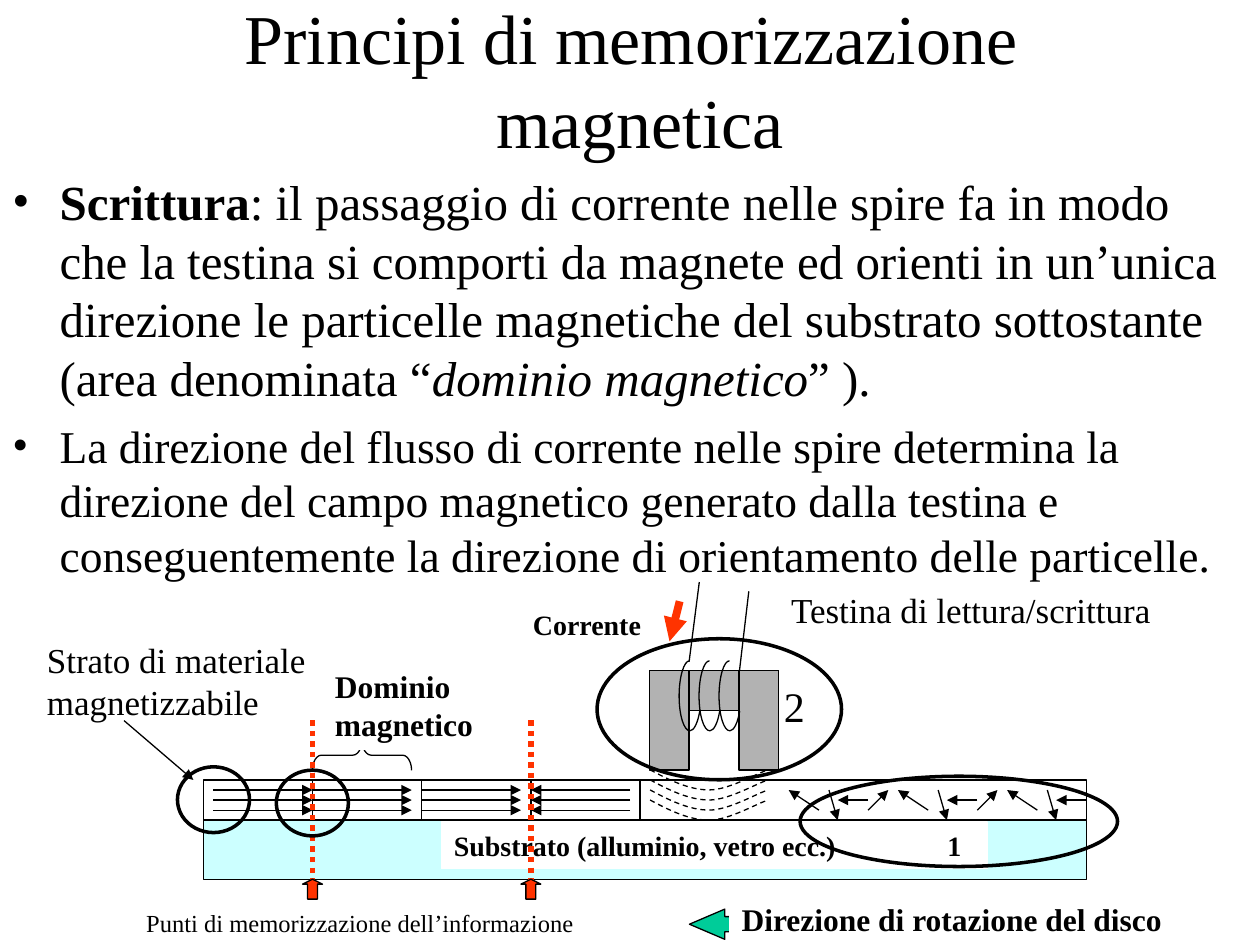
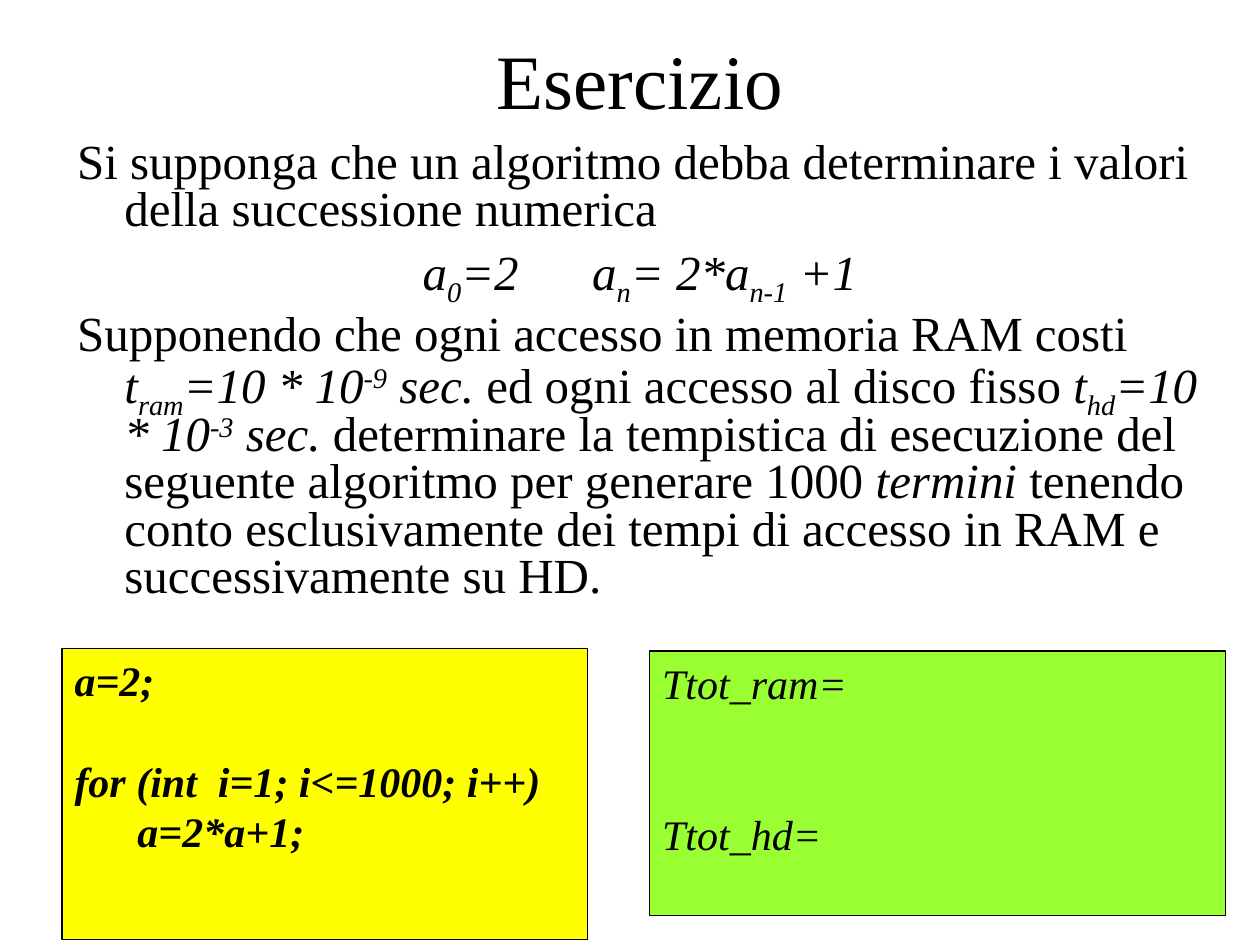
from dataclasses import dataclass

from lxml import etree
from pptx import Presentation
from pptx import util as u
from pptx.dml.color import RGBColor
from pptx.enum import dml, shapes, text
from pptx.oxml.ns import qn

Pt = u.Pt
SHAPE = shapes.MSO_SHAPE
DASH = dml.MSO_LINE


@dataclass(frozen=True)
class Theme:
    font: str = "Times New Roman"
    black: str = "000000"
    white: str = "FFFFFF"
    red: str = "FF3300"
    green: str = "00CC99"
    grey: str = "B2B2B2"
    cyan: str = "CCFFFF"
    yellow: str = "FFFF00"
    lime: str = "99FF33"
    title: int = 44
    long_title: int = 40
    body: int = 28
    body_small: int = 26
    code: int = 24
    label: int = 20
    strong_label: int = 18
    small_label: int = 16
    caption: int = 14
    thin: float = 0.75
    ring: float = 2
    marker: float = 3
    current: float = 4.5


THEME = Theme()
RUN_MARKS = {"_": ("baseline", "-25000"), "^": ("baseline", "30000"), "w": ("spc", "3500")}

# Geometry of the disk section, in points
DISK_LEFT, DISK_WIDTH = 116.2, 504.8
LAYER_TOP, LAYER_HEIGHT = 445.7, 23
SUBSTRATE_TOP = LAYER_TOP + LAYER_HEIGHT
DOMAIN_STEP = 62.4
FLUX_LENGTH, FLUX_GAP = 56.7, 5.76
PARTICLES_LEFT = 450.7


def points(*lengths):
    return [Pt(length) for length in lengths]


def style_runs(paragraph, size, bold=False, italic=False, color=THEME.black):
    for run in paragraph.runs:
        font = run.font
        font.name, font.size = THEME.font, Pt(size)
        font.bold, font.italic = bold, italic
        font.color.rgb = RGBColor.from_string(color)


def add_rich_runs(paragraph, segments, size):
    """Add (text, marks) runs: b bold, i italic, _ subscript, ^ superscript, w wide."""
    for words, _ in segments:
        paragraph.add_run().text = words
    style_runs(paragraph, size)
    for run, (_, marks) in zip(paragraph.runs, segments):
        run.font.bold, run.font.italic = "b" in marks, "i" in marks
        for mark in marks:
            if mark in RUN_MARKS:
                run._r.get_or_add_rPr().set(*RUN_MARKS[mark])


def set_hanging_indent(paragraph, margin=27):
    properties = paragraph._p.get_or_add_pPr()
    properties.set("marL", str(Pt(margin)))
    properties.set("indent", str(-Pt(margin)))
    return properties


def add_bullet(properties):
    etree.SubElement(properties, qn("a:buFont"), typeface=THEME.font)
    etree.SubElement(properties, qn("a:buChar"), char="•")


def add_tab(properties, position):
    tabs = etree.SubElement(properties, qn("a:tabLst"))
    etree.SubElement(tabs, qn("a:tab"), pos=str(Pt(position)), algn="l")


def set_title(slide, words, size):
    title = slide.shapes.title
    title.left, title.top, title.width, title.height = points(59.7, 0, 612, 90)
    frame = title.text_frame
    frame.text = words
    frame.auto_size = text.MSO_AUTO_SIZE.NONE
    frame.vertical_anchor = text.MSO_ANCHOR.MIDDLE
    for paragraph in frame.paragraphs:
        paragraph.alignment = text.PP_ALIGN.CENTER
        style_runs(paragraph, size)


def add_text_area(slide, left, top, width, height):
    frame = slide.shapes.add_textbox(*points(left, top, width, height)).text_frame
    frame.word_wrap = True
    return frame


def set_line(line, color, width, dash=None):
    line.color.rgb = RGBColor.from_string(color)
    line.width = Pt(width)
    if dash is not None:
        line.dash_style = dash


def add_shape(slide, kind, left, top, width, height, fill=None,
              line=THEME.black, line_width=THEME.thin):
    shape = slide.shapes.add_shape(kind, *points(left, top, width, height))
    shape.shadow.inherit = False
    if fill:
        shape.fill.solid()
        shape.fill.fore_color.rgb = RGBColor.from_string(fill)
    else:
        shape.fill.background()
    set_line(shape.line, line, line_width)
    return shape


def add_text_panel(slide, left, top, width, height, lines, size, fill=THEME.white,
                   line=THEME.white, bold=False, italic=False, tab=None):
    """Add a filled box; lines holds (text, space before) pairs."""
    panel = add_shape(slide, SHAPE.RECTANGLE, left, top, width, height, fill, line)
    frame = panel.text_frame
    frame.word_wrap = True
    frame.vertical_anchor = text.MSO_ANCHOR.TOP
    for index, (words, space) in enumerate(lines):
        paragraph = frame.add_paragraph() if index else frame.paragraphs[0]
        if tab:
            add_tab(paragraph._p.get_or_add_pPr(), tab)
        paragraph.text = words
        paragraph.alignment = text.PP_ALIGN.LEFT
        paragraph.space_before = Pt(space)
        style_runs(paragraph, size, bold, italic)


def add_label(slide, left, top, width, height, words, size, bold=False):
    frame = add_text_area(slide, left, top, width, height)
    frame.text = words
    style_runs(frame.paragraphs[0], size, bold)


def add_line(slide, start, end, arrow=False, color=THEME.black,
             width=THEME.thin, dash=None):
    connector = slide.shapes.add_connector(
        shapes.MSO_CONNECTOR.STRAIGHT, *points(*start, *end))
    set_line(connector.line, color, width, dash)
    properties = connector._element.spPr
    if arrow:
        etree.SubElement(properties.find(qn("a:ln")), qn("a:tailEnd"), type="triangle")
    etree.SubElement(properties, qn("a:effectLst"))


def add_curve(slide, left, top, start, controls, dash=None):
    """Draw an open Bezier outline; every three controls make one cubic piece."""
    builder = slide.shapes.build_freeform(Pt(left + start[0]), Pt(top + start[1]))
    builder.add_line_segments([points(left + x, top + y) for x, y in controls], close=False)
    curve = builder.convert_to_shape()
    outline = next(curve._element.iter(qn("a:path")))
    segments = outline.findall(qn("a:lnTo"))
    for first in range(0, len(segments), 3):
        cubic = etree.SubElement(outline, qn("a:cubicBezTo"))
        for segment in segments[first:first + 3]:
            cubic.append(segment[0])
            outline.remove(segment)
    curve.shadow.inherit = False
    curve.fill.background()
    set_line(curve.line, THEME.black, THEME.thin, dash)


def draw_disk(slide):
    add_shape(slide, SHAPE.RECTANGLE, DISK_LEFT, SUBSTRATE_TOP, DISK_WIDTH, 33.8, THEME.cyan)
    add_shape(slide, SHAPE.RECTANGLE, DISK_LEFT, LAYER_TOP, DISK_WIDTH, LAYER_HEIGHT,
              THEME.white)
    for domain in range(4):
        left = DISK_LEFT + DOMAIN_STEP * domain
        edge = left + DOMAIN_STEP
        add_line(slide, (edge, LAYER_TOP), (edge, SUBSTRATE_TOP))
        start = left + FLUX_GAP if domain == 0 else left
        for row in range(1, 4):
            y = LAYER_TOP + FLUX_GAP * row
            ends = [(start, y), (start + FLUX_LENGTH, y)]
            if domain == 3:
                ends.reverse()
            add_line(slide, *ends, arrow=True)


def draw_loose_particles(slide):
    high, middle, low = (LAYER_TOP + FLUX_GAP * row for row in (1, 2, 3))
    cluster = [((17.3, low), (0, high)), ((23, high), (28, SUBSTRATE_TOP)),
               ((45.4, middle), (28, middle)), ((45.4, low), (56.9, high))]
    for index in range(3):
        left = PARTICLES_LEFT + DOMAIN_STEP * index
        for (x1, y1), (x2, y2) in cluster[:3 if index == 2 else 4]:
            add_line(slide, (left + x1, y1), (left + x2, y2), arrow=True)


def draw_head(slide):
    add_shape(slide, SHAPE.RECTANGLE, 371.3, 383.2, 73.4, 23, THEME.grey)
    for left in (371.3, 422.4):
        add_shape(slide, SHAPE.RECTANGLE, left, 383.2, 22.5, 56.9, THEME.grey)
    coil = [(2.7, 0), (0, 9.3), (0, 20.1), (0, 31), (2.7, 40), (6.2, 40),
            (8.5, 40), (10.7, 35.4), (11.8, 28.8)]
    for turn in range(3):
        add_curve(slide, 388.1 + 11.4 * turn, 377.6, (6, 0), coil)
    add_line(slide, (422.6, 383), (427.9, 337.9))
    add_line(slide, (393.8, 378), (399.6, 332.6))
    field = [(10.8, 5.8), (22.3, 11.5), (33.8, 11.5), (45.4, 11.5), (62, 1.4), (67.7, 0)]
    for row in range(4):
        add_curve(slide, 371.5, 439.9 + FLUX_GAP * row, (0, 0), field, DASH.DASH)


def draw_storage_points(slide):
    for edge in (1, 3):
        x = DISK_LEFT + DOMAIN_STEP * edge
        add_line(slide, (x, 411.6), (x, 508.3), color=THEME.red,
                 width=THEME.marker, dash=DASH.ROUND_DOT)
        arrow = add_shape(slide, SHAPE.UP_ARROW, x - 5.7, 502.4, 11.4, 11.4, THEME.red)
        arrow.adjustments[1] = 0.25


def build_recording_slide(slide):
    set_title(slide, "Principi di memorizzazione \vmagnetica", THEME.long_title)
    draw_disk(slide)
    draw_loose_particles(slide)
    draw_head(slide)
    add_text_panel(slide, 445, 332.6, 254.9, 31.7,
                   [("Testina di lettura/scrittura", 0)], THEME.label)
    rotation = add_shape(slide, SHAPE.LEFT_ARROW, 394, 519.5, 79.2, 17.3, THEME.green)
    rotation.adjustments[1] = 1.17
    add_text_panel(slide, 416.7, 510.5, 303.1, 28.8,
                   [("Direzione di rotazione del disco", 0)], THEME.strong_label, bold=True)
    add_text_panel(slide, 252.3, 469.8, 311.8, 26.6,
                   [("Substrato (alluminio, vetro ecc.)\t1", 0)],
                   THEME.small_label, bold=True, tab=282)
    add_text_panel(slide, 19.7, 361.4, 193, 55.4,
                   [("Strato di materiale magnetizzabile", 0)], THEME.label)
    add_line(slide, (70.9, 411.8), (110.5, LAYER_TOP), arrow=True)

    frame = add_text_area(slide, 0, 94.3, 720, 324)
    writing = [("Scrittura", "b"),
               (": il passaggio di corrente nelle spire fa in modo che la testina si "
                "comporti da magnete ed orienti in un’unica direzione le particelle "
                "magnetiche del substrato sottostante (area denominata “", ""),
               ("dominio magnetico", "i"), ("” ).", "")]
    direction = [("La direzione del flusso di corrente nelle spire determina la direzione "
                  "del campo magnetico generato dalla testina e conseguentemente la "
                  "direzione di orientamento delle particelle.", "")]
    for paragraph, segments, size, space in (
            (frame.paragraphs[0], writing, THEME.body, 0),
            (frame.add_paragraph(), direction, THEME.body_small, 6.5)):
        add_bullet(set_hanging_indent(paragraph))
        paragraph.space_before = Pt(space)
        add_rich_runs(paragraph, segments, size)

    brace = add_shape(slide, SHAPE.LEFT_BRACE, 198.2, 403.2, 17.3, 56.7)
    brace.rotation = 90
    brace.adjustments[0] = 0.3
    add_text_panel(slide, 184.3, 377.7, 108, 50.4, [("Dominio magnetico", 0)],
                   THEME.strong_label, bold=True)
    add_line(slide, (388.4, 343.6), (382.6, 366.5), arrow=True,
             color=THEME.red, width=THEME.current)
    add_label(slide, 297.5, 343.8, 79.2, 26.6, "Corrente", THEME.small_label, bold=True)
    add_text_panel(slide, 76.5, 515.5, 311.8, 24.5,
                   [("Punti di memorizzazione dell’informazione", 0)], THEME.caption)
    draw_storage_points(slide)
    for ring in ((341.2, 365, 139.7, 80.6), (457.2, 443.6, 181.4, 51.6),
                 (157.9, 440.1, 41.2, 37.6), (101.4, 438.2, 41.2, 37.6)):
        add_shape(slide, SHAPE.OVAL, *ring, line_width=THEME.ring)
    add_label(slide, 440.9, 385.2, 33.6, 36, "2", THEME.code)


def build_exercise_slide(slide):
    set_title(slide, "Esercizio", THEME.title)
    frame = add_text_area(slide, 37, 77.3, 657.2, 294.5)
    problem = [("Si supponga che un algoritmo debba determinare i valori della "
                "successione numerica", "")]
    sequence = [("a", "i"), ("0", "i_"), ("=2", "i"), (" ", "iw"), ("a", "i"),
                ("n", "i_"), ("= 2*a", "i"), ("n-1", "i_"), (" +1", "i")]
    timing = [("Supponendo che ogni accesso in memoria RAM costi ", ""),
              ("t", "i"), ("ram", "i_"), ("=10 * 10", "i"), ("-9", "i^"), (" sec.", "i"),
              (" ed ogni accesso al disco fisso ", ""),
              ("t", "i"), ("hd", "i_"), ("=10 * 10", "i"), ("-3", "i^"), (" sec.", "i"),
              (" determinare la tempistica di esecuzione del seguente algoritmo per "
               "generare 1000 ", ""), ("termini", "i"),
              (" tenendo conto esclusivamente dei tempi di accesso in RAM e "
               "successivamente su HD.", "")]
    for index, segments in enumerate((problem, sequence, timing)):
        paragraph = frame.add_paragraph() if index else frame.paragraphs[0]
        set_hanging_indent(paragraph)
        if segments is sequence:
            paragraph.alignment = text.PP_ALIGN.CENTER
        paragraph.line_spacing = 0.8
        paragraph.space_before = Pt(7 if index else 0)
        add_rich_runs(paragraph, segments, THEME.body)

    blank_line = 28.8
    add_text_panel(slide, 35.5, 370.4, 300.4, 166.3,
                   [("a=2;", 0), ("for (int  i=1; i<=1000; i++)", blank_line),
                    ("      a=2*a+1;", 0)],
                   THEME.code, THEME.yellow, THEME.black, bold=True, italic=True)
    add_text_panel(slide, 371.3, 372, 329, 151.2,
                   [("Ttot_ram=", 0), ("Ttot_hd=", 2 * blank_line)],
                   THEME.code, THEME.lime, THEME.black, italic=True)


def main():
    presentation = Presentation()
    presentation.slide_width, presentation.slide_height = points(720, 540)
    title_only = presentation.slide_layouts[5]
    for build in (build_recording_slide, build_exercise_slide):
        build(presentation.slides.add_slide(title_only))
    presentation.save("out.pptx")


if __name__ == "__main__":
    main()
